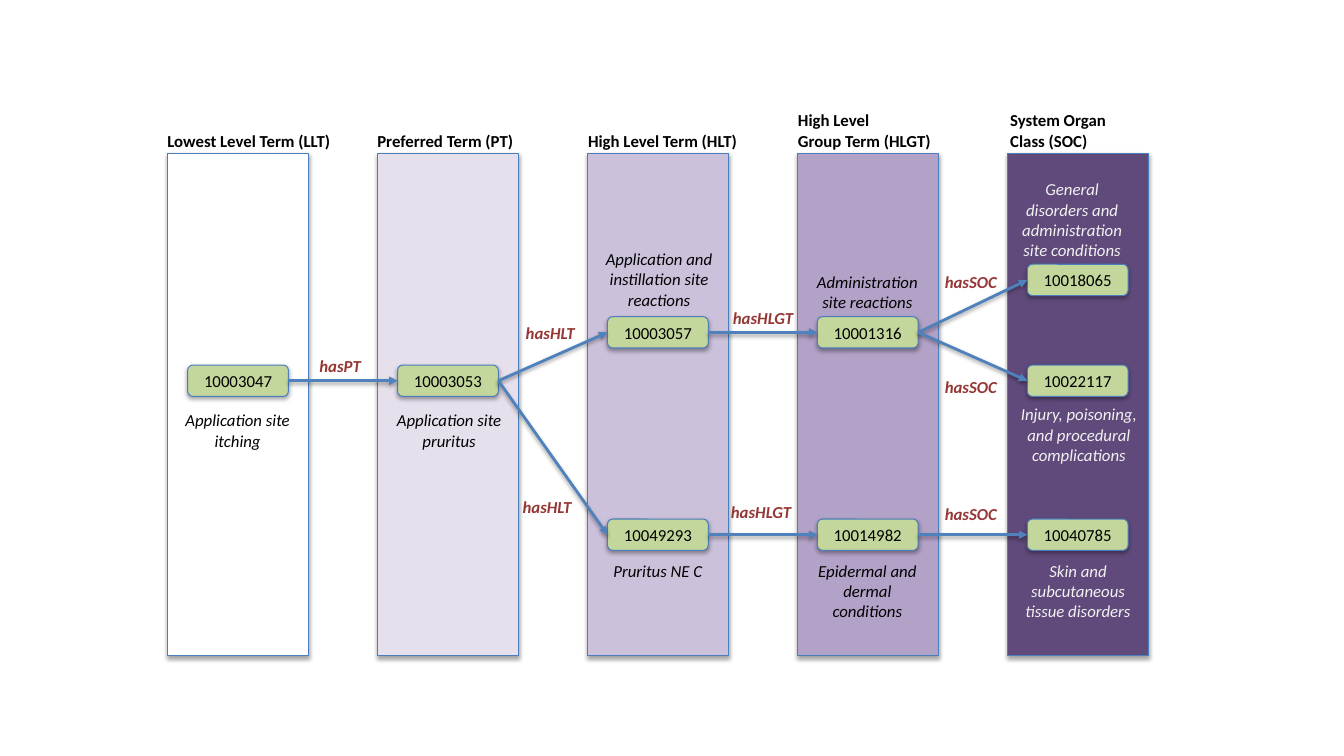
"""Draw the five-level term hierarchy as columns of linked term codes."""
from dataclasses import dataclass

from lxml import etree
from pptx import Presentation
from pptx import util as u
from pptx.dml.color import RGBColor
from pptx.enum import shapes, text
from pptx.oxml.ns import qn

BLACK = RGBColor(0x00, 0x00, 0x00)
PALE = RGBColor(0xF2, 0xF2, 0xF2)
OUTLINE = RGBColor(0x4B, 0x7E, 0xBC)
ARROW = RGBColor(0x4F, 0x81, 0xBD)
GREEN = RGBColor(0xC3, 0xD6, 0x9B)
RED = RGBColor(0x95, 0x37, 0x35)

COLUMN_LEFT, COLUMN_PITCH = 4.22, 5.29
COLUMN_TOP, COLUMN_WIDTH, COLUMN_HEIGHT = 3.86, 3.56, 12.67
NODE_INSET, NODE_WIDTH, NODE_HEIGHT = 0.51, 2.54, 0.79
HEADING_BOTTOM = 3.92
CAPTION_WIDTH, LABEL_WIDTH = 3.48, 2.72
LINE_HEIGHT, TEXT_MARGINS = 0.51, 0.25


@dataclass(frozen=True)
class Column:
    heading: tuple[str, ...]
    heading_width: float
    heading_shift: float
    fill: RGBColor


@dataclass(frozen=True)
class Term:
    code: str
    column: int
    top: float
    caption: str
    caption_shift: float
    caption_top: float
    caption_lines: int
    caption_color: RGBColor = BLACK


@dataclass(frozen=True)
class Link:
    source: str
    target: str
    label: str
    label_left: float
    label_top: float


COLUMNS = [
    Column(("Lowest Level Term (LLT)",), 4.5, 0, RGBColor(0xFF, 0xFF, 0xFF)),
    Column(("Preferred Term (PT)",), 3.91, 0, RGBColor(0xE6, 0xE0, 0xEC)),
    Column(("High Level Term (HLT)",), 4.24, 0.02, RGBColor(0xCC, 0xC1, 0xDA)),
    Column(("High Level", "Group Term (HLGT)"), 3.71, 0.02, RGBColor(0xB3, 0xA2, 0xC7)),
    Column(("System Organ", "Class (SOC)"), 2.72, 0.08, RGBColor(0x60, 0x4A, 0x7B)),
]

TERMS = [
    Term("10003047", 0, 9.2, "Application site itching", 0.03, 10.21, 2),
    Term("10003053", 1, 9.2, "Application site pruritus", 0.07, 10.21, 2),
    Term("10003057", 2, 7.98, "Application and instillation site reactions", 0.07, 6.15, 3),
    Term("10049293", 2, 13.08, "Pruritus NE C", 0.04, 14, 1),
    Term("10001316", 3, 7.98, "Administration site reactions", 0.03, 6.73, 2),
    Term("10014982", 3, 13.08, "Epidermal and dermal conditions", 0.03, 14, 3),
    Term("10018065", 4, 6.66, "General disorders and administration site conditions",
         -0.1, 4.39, 4, PALE),
    Term("10022117", 4, 9.2, "Injury, poisoning, and procedural complications",
         0.07, 10.06, 3, PALE),
    Term("10040785", 4, 13.08, "Skin and subcutaneous tissue disorders", 0.05, 14, 3, PALE),
]

LINKS = [
    Link("10003047", "10003053", "hasPT", 7.8, 8.84),
    Link("10003053", "10003057", "hasHLT", 13, 8.02),
    Link("10003053", "10049293", "hasHLT", 12.92, 12.4),
    Link("10003057", "10001316", "hasHLGT", 18.22, 7.62),
    Link("10049293", "10014982", "hasHLGT", 18.17, 12.53),
    Link("10001316", "10018065", "hasSOC", 23.56, 6.73),
    Link("10001316", "10022117", "hasSOC", 23.56, 9.38),
    Link("10014982", "10040785", "hasSOC", 23.56, 12.58),
]


def column_left(index: int) -> float:
    """Return the left edge of a column in centimetres."""
    return COLUMN_LEFT + index * COLUMN_PITCH


def add_shadow(shape, alpha: int, distance: float) -> None:
    """Give a shape or connector a soft shadow straight below it."""
    effects = etree.SubElement(shape._element.spPr, qn("a:effectLst"))
    shadow = etree.SubElement(effects, qn("a:outerShdw"), blurRad=str(u.Pt(3.1)),
                              dist=str(u.Pt(distance)), dir="5400000", rotWithShape="0")
    color = etree.SubElement(shadow, qn("a:srgbClr"), val=str(BLACK))
    etree.SubElement(color, qn("a:alpha"), val=str(alpha * 1000))


def add_run(paragraph, words: str, color: RGBColor, bold: bool = False,
            italic: bool = False) -> None:
    """Add one formatted run to a paragraph."""
    run = paragraph.add_run()
    run.text = words
    run.font.name = "Calibri"
    run.font.size = u.Pt(12)
    run.font.bold = bold
    run.font.italic = italic
    run.font.color.rgb = color


def add_box(slide, kind, left: float, top: float, width: float, height: float,
            fill: RGBColor):
    """Add a filled, outlined and shadowed box."""
    shape = slide.shapes.add_shape(kind, u.Cm(left), u.Cm(top), u.Cm(width), u.Cm(height))
    shape.fill.solid()
    shape.fill.fore_color.rgb = fill
    shape.line.color.rgb = OUTLINE
    shape.line.width = u.Pt(0.75)
    add_shadow(shape, 35, 1.8)
    return shape


def add_text(slide, left: float, top: float, width: float, lines: int, wrap: bool = True):
    """Add an empty text box sized for a number of lines and return its frame."""
    height = TEXT_MARGINS + lines * LINE_HEIGHT
    box = slide.shapes.add_textbox(u.Cm(left), u.Cm(top), u.Cm(width), u.Cm(height))
    frame = box.text_frame
    frame.word_wrap = wrap
    frame.auto_size = text.MSO_AUTO_SIZE.SHAPE_TO_FIT_TEXT
    return frame


def add_column(slide, index: int, column: Column) -> None:
    """Draw one level's column with its heading above."""
    left = column_left(index)
    add_box(slide, shapes.MSO_SHAPE.RECTANGLE, left, COLUMN_TOP, COLUMN_WIDTH,
            COLUMN_HEIGHT, column.fill)
    lines = len(column.heading)
    top = HEADING_BOTTOM - TEXT_MARGINS - lines * LINE_HEIGHT
    frame = add_text(slide, left + column.heading_shift, top, column.heading_width,
                     lines, wrap=False)
    frame.margin_left = 0
    for number, words in enumerate(column.heading):
        paragraph = frame.add_paragraph() if number else frame.paragraphs[0]
        add_run(paragraph, words, BLACK, bold=True)


def add_term(slide, term: Term):
    """Draw a term's code box and caption, returning the box."""
    left = column_left(term.column)
    node = add_box(slide, shapes.MSO_SHAPE.ROUNDED_RECTANGLE, left + NODE_INSET, term.top,
                   NODE_WIDTH, NODE_HEIGHT, GREEN)
    node.text_frame.vertical_anchor = text.MSO_ANCHOR.MIDDLE
    caption = add_text(slide, left + term.caption_shift, term.caption_top, CAPTION_WIDTH,
                       term.caption_lines)
    for frame, words, color, italic in (
        (node.text_frame, term.code, BLACK, False),
        (caption, term.caption, term.caption_color, True),
    ):
        paragraph = frame.paragraphs[0]
        paragraph.alignment = text.PP_ALIGN.CENTER
        add_run(paragraph, words, color, italic=italic)
    return node


def add_link(slide, link: Link, nodes: dict) -> None:
    """Join two terms with a labelled arrow."""
    connector = slide.shapes.add_connector(shapes.MSO_CONNECTOR.STRAIGHT, 0, 0, 0, 0)
    connector.begin_connect(nodes[link.source], 3)
    connector.end_connect(nodes[link.target], 1)
    connector.line.color.rgb = ARROW
    connector.line.width = u.Pt(2)
    etree.SubElement(connector.line._get_or_add_ln(), qn("a:tailEnd"), type="triangle")
    add_shadow(connector, 38, 1.6)
    label = add_text(slide, link.label_left, link.label_top, LABEL_WIDTH, 1)
    add_run(label.paragraphs[0], link.label, RED, bold=True, italic=True)


def main() -> None:
    """Build and save the slide."""
    presentation = Presentation()
    presentation.slide_width = u.Cm(33.87)
    presentation.slide_height = u.Cm(19.05)
    slide = presentation.slides.add_slide(presentation.slide_layouts[6])
    for index, column in enumerate(COLUMNS):
        add_column(slide, index, column)
    nodes = {term.code: add_term(slide, term) for term in TERMS}
    for link in LINKS:
        add_link(slide, link, nodes)
    presentation.save("out.pptx")


if __name__ == "__main__":
    main()
